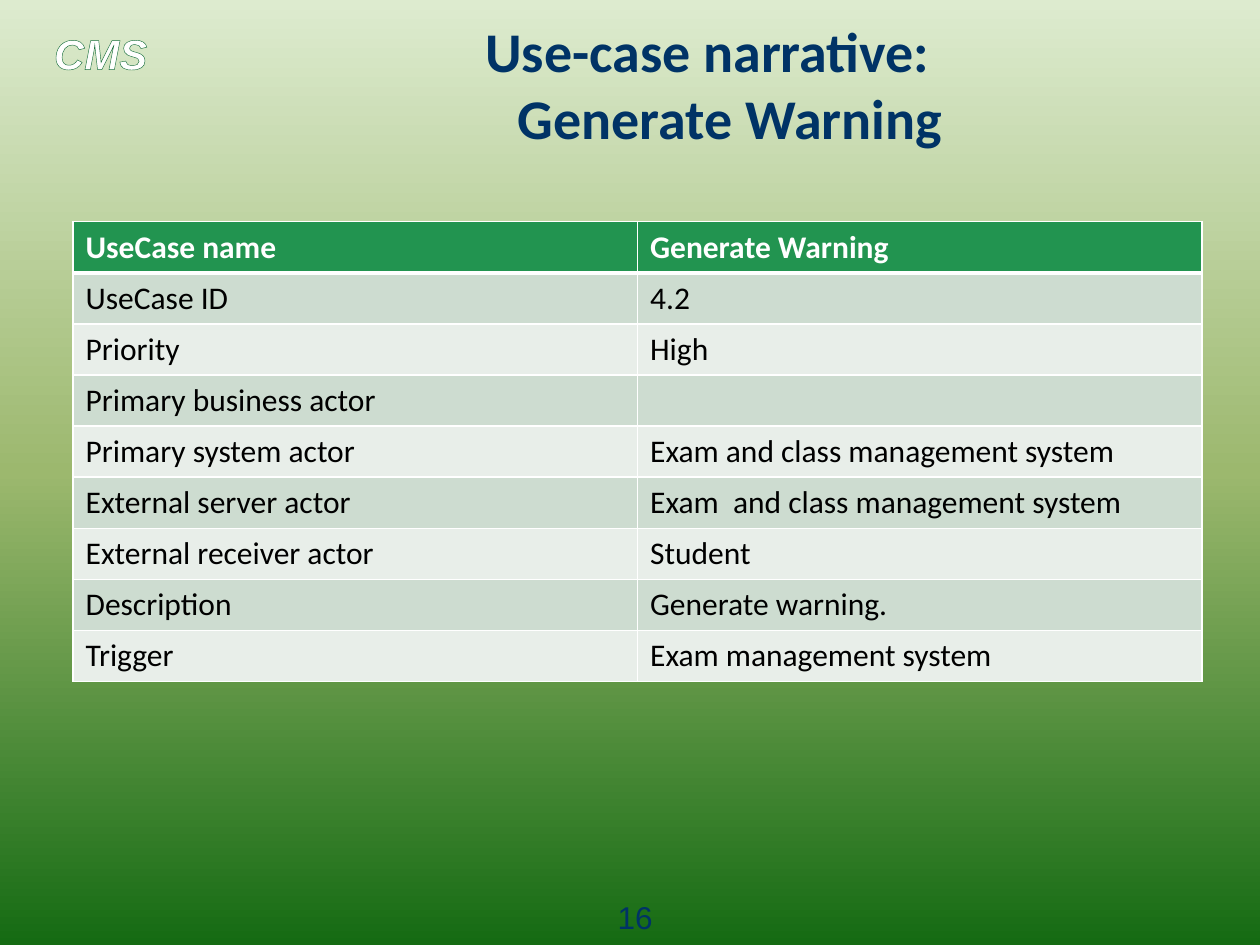
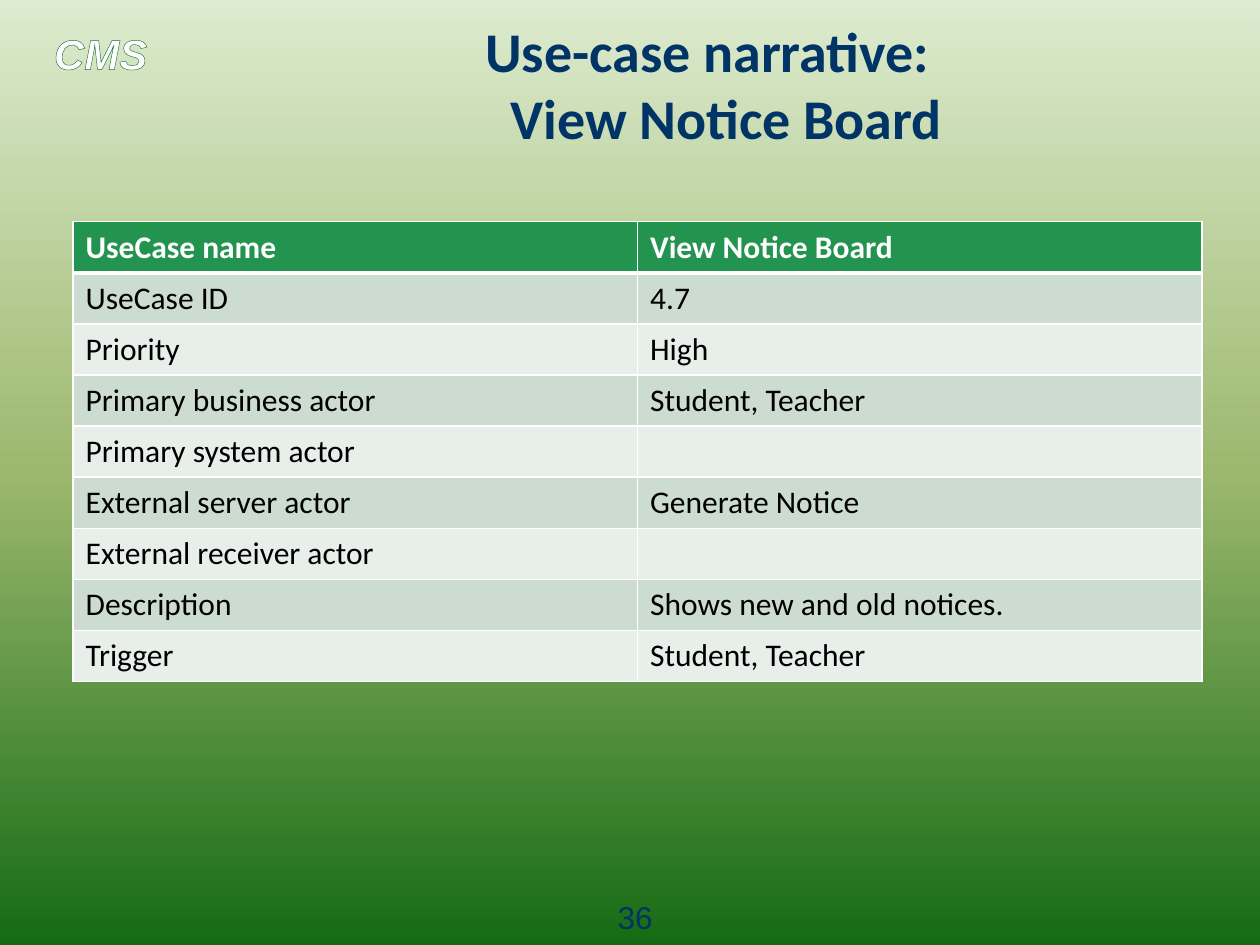
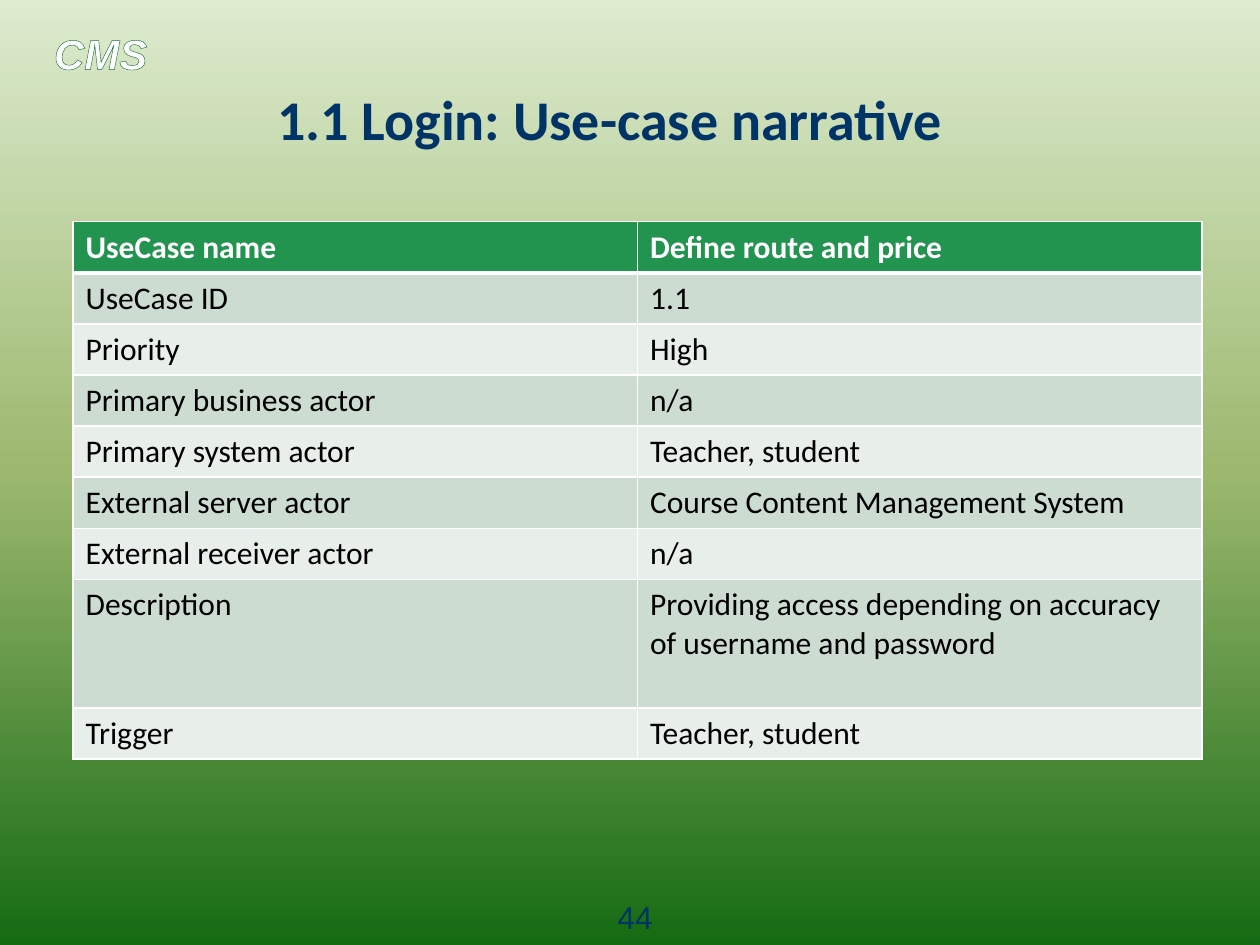
from copy import deepcopy

from lxml import etree
from pptx import Presentation
from pptx import util as u
from pptx.dml.color import RGBColor
from pptx.enum import text
from pptx.oxml import ns

# Content
FIELDS = ["UseCase name", "UseCase ID", "Priority", "Primary business actor",
          "Primary system actor", "External server actor",
          "External receiver actor", "Description", "Trigger"]
USE_CASES = [
    {"title": "Use-case narrative: \vGenerate Warning", "number": "16",
     "values": ["Generate Warning", "4.2", "High", "",
                "Exam and class management system",
                "Exam  and class management system",
                "Student", "Generate warning.", "Exam management system"]},
    {"title": "Use-case narrative: \vView Notice Board", "number": "36",
     "values": ["View Notice Board", "4.7", "High", "Student, Teacher", "",
                "Generate Notice", "", "Shows new and old notices.",
                "Student, Teacher"]},
    {"title": "1.1 Login: Use-case narrative", "number": "44",
     "values": ["Define route and price", "1.1", "High", "n/a",
                "Teacher, student", "Course Content Management System", "n/a",
                "Providing access depending on accuracy of username and password",
                "Teacher, student"],
     "tall_rows": {"Description": 1.02}},
]

# Shared style
NAVY, WHITE, BLACK, OUTLINE = "003366", "FFFFFF", "000000", "196F3C"
HEADER, BANDS = "229450", ("CDDCD0", "E8EEE9")
GRADIENT = [(0, "DDEBCF"), (0.5, "9CB86E"), (1, "156B13")]
WIDTH, HEIGHT = 10, 7.5
LEFT, TABLE_TOP, TABLE_WIDTH = 0.58, 1.76, 8.96
ROW_HEIGHT = 3.65 / len(FIELDS)
TITLE_TOP = {1: 0.67, 2: 0.4}  # by number of title lines


def color(value):
    return RGBColor.from_string(value)


def format_text(frame, size, font, fill, bold=False, italic=False, align=None):
    for paragraph in frame.paragraphs:
        paragraph.alignment = align
        for run in paragraph.runs:
            run.font.size = u.Pt(size)
            run.font.name = font
            run.font.bold = bold
            run.font.italic = italic
            run.font.color.rgb = color(fill)


def make_line(tag, value, points):
    line = etree.Element(ns.qn(tag), w=str(u.Pt(points)))
    solid = etree.SubElement(line, ns.qn("a:solidFill"))
    etree.SubElement(solid, ns.qn("a:srgbClr"), val=value)
    return line


def add_label(slide, label, left, top, width, height):
    box = slide.shapes.add_textbox(*map(u.Inches, (left, top, width, height)))
    box.text_frame.word_wrap = True
    box.text_frame.text = label
    return box


def set_background(master):
    fill = master.background.fill
    fill.gradient()
    fill.gradient_angle = 270
    stop_list = master.element.find(".//" + ns.qn("a:gsLst"))
    stop_list.append(deepcopy(stop_list[0]))
    for stop, (position, value) in zip(fill.gradient_stops, GRADIENT):
        stop.position = position
        stop.color.rgb = color(value)


def add_course_mark(slide, master):
    """Build the outlined mark and place it on the master for every slide."""
    box = add_label(slide, "CMS", 0.33, 0.17, 1.5, 0.5)
    format_text(box.text_frame, 24, "Arial", WHITE, bold=True, italic=True)
    properties = box.element.find(".//" + ns.qn("a:rPr"))
    properties.insert(0, make_line("a:ln", OUTLINE, 1))
    master.shapes.element.append(box.element)


def add_title(slide, title):
    shape = slide.shapes.title
    top = TITLE_TOP[len(title.split("\v"))]
    shape.left, shape.top, shape.width, shape.height = map(
        u.Inches, (LEFT, top, 7, 0.53))
    frame = shape.text_frame
    frame.text = title
    frame.auto_size = text.MSO_AUTO_SIZE.NONE
    frame.vertical_anchor = text.MSO_ANCHOR.MIDDLE
    format_text(frame, 32, "Calibri", NAVY, bold=True, align=text.PP_ALIGN.RIGHT)


def style_cell(cell, row):
    header = row == 0
    cell.fill.solid()
    cell.fill.fore_color.rgb = color(HEADER if header else BANDS[(row - 1) % 2])
    format_text(cell.text_frame, 18, "Calibri", WHITE if header else BLACK,
                bold=header)
    # The rule under the header is thicker than the other borders
    borders = {"a:lnL": 1, "a:lnR": 1, "a:lnT": 3 if row == 1 else 1,
               "a:lnB": 3 if header else 1}
    properties = cell._tc.get_or_add_tcPr()
    for index, (tag, points) in enumerate(borders.items()):
        properties.insert(index, make_line(tag, WHITE, points))


def add_narrative(slide, values, tall_rows):
    heights = [tall_rows.get(field, ROW_HEIGHT) for field in FIELDS]
    table = slide.shapes.add_table(
        len(FIELDS), 2, u.Inches(LEFT), u.Inches(TABLE_TOP),
        u.Inches(TABLE_WIDTH), u.Inches(sum(heights))).table
    for row, (pair, height) in enumerate(zip(zip(FIELDS, values), heights)):
        table.rows[row].height = u.Inches(height)
        for column, value in enumerate(pair):
            cell = table.cell(row, column)
            cell.text = value
            style_cell(cell, row)


def main():
    presentation = Presentation()
    presentation.slide_width = u.Inches(WIDTH)
    presentation.slide_height = u.Inches(HEIGHT)
    master = presentation.slide_master
    set_background(master)
    for index, use_case in enumerate(USE_CASES):
        slide = presentation.slides.add_slide(presentation.slide_layouts[5])
        if index == 0:
            add_course_mark(slide, master)
        add_title(slide, use_case["title"])
        add_narrative(slide, use_case["values"], use_case.get("tall_rows", {}))
        number = add_label(slide, use_case["number"], 4.58, 7.08, 0.92, 0.29)
        format_text(number.text_frame, 18, "Arial", NAVY,
                    align=text.PP_ALIGN.CENTER)
    presentation.save("out.pptx")


if __name__ == "__main__":
    main()
